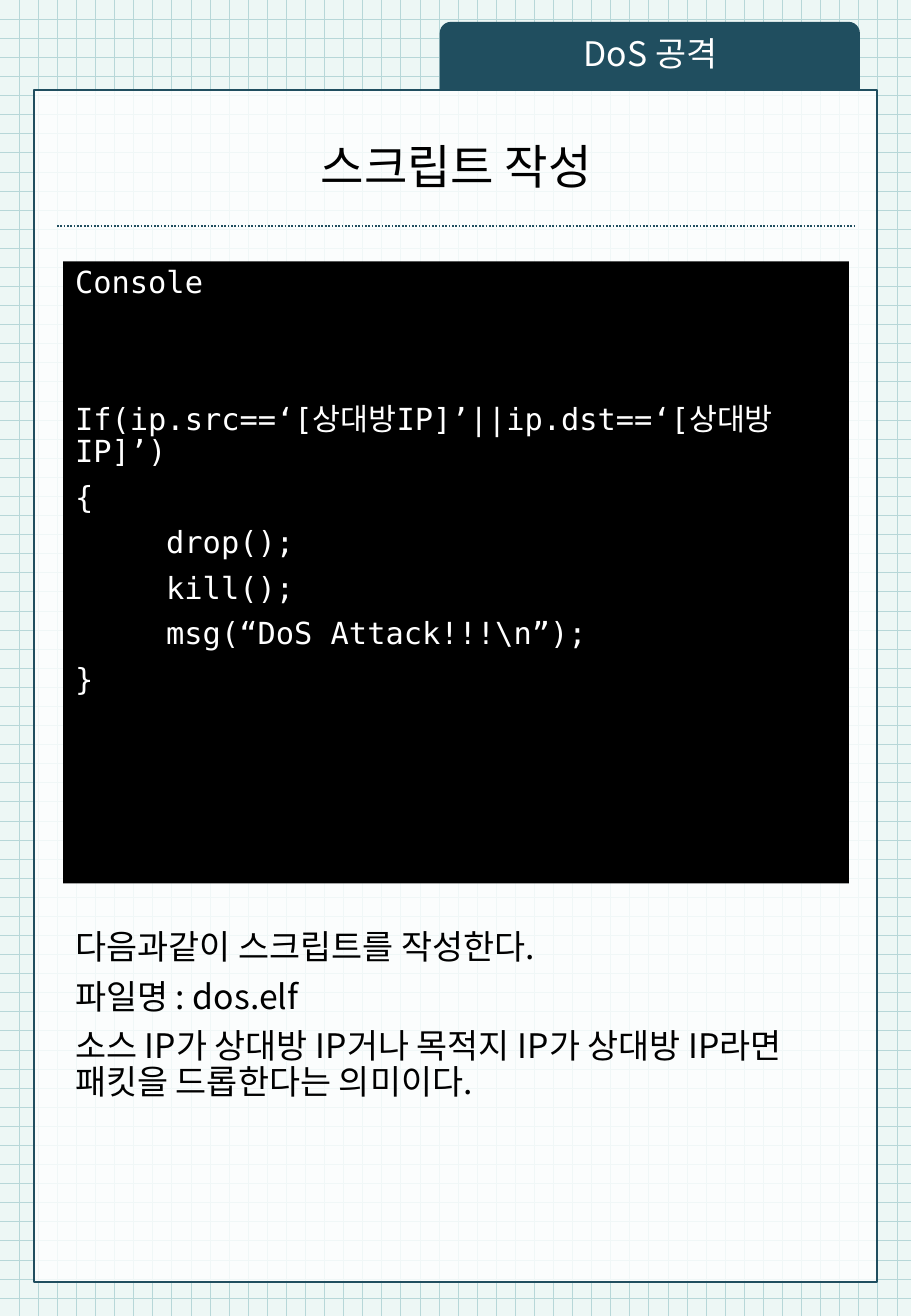
"""Build the DoS script slide with its console listing."""
import pptx
import pptx.util
import pptx.dml.color
import pptx.enum.dml
import pptx.enum.shapes
import pptx.enum.text
import pptx.oxml
import pptx.oxml.ns

Inches, Pt = pptx.util.Inches, pptx.util.Pt
KIND = pptx.enum.shapes.MSO_SHAPE
ALIGN = pptx.enum.text.PP_ALIGN
ANCHOR = pptx.enum.text.MSO_ANCHOR
qn = pptx.oxml.ns.qn
SANS, MONO = "Noto Sans CJK KR", "DejaVu Sans Mono"
TEAL, WHITE, BLACK = "204E5F", "FFFFFF", "000000"
LEFT, WIDE = 0.52, 6.47


def rgb(code):
    return pptx.dml.color.RGBColor.from_string(code)


def write(shape, lines, size=20, font=SANS, color=BLACK, align=ALIGN.LEFT,
          anchor=ANCHOR.TOP, before=7.5):
    frame = shape.text_frame
    frame.word_wrap = True
    frame.auto_size = pptx.enum.text.MSO_AUTO_SIZE.NONE
    frame.vertical_anchor = anchor
    for i, line in enumerate(lines):
        para = frame.paragraphs[0] if i == 0 else frame.add_paragraph()
        para.alignment = align
        para.line_spacing = 0.9
        para.space_before = Pt(before)
        run = para.add_run()
        run.text = line
        run.font.size = Pt(size)
        run.font.name = font
        run.font.color.rgb = rgb(color)
        east = pptx.oxml.parse_xml(
            f'<a:ea {pptx.oxml.ns.nsdecls("a")} typeface="{font}"/>')
        run.font._element.find(qn("a:latin")).addnext(east)
    return frame.paragraphs


deck = pptx.Presentation()
deck.slide_width, deck.slide_height = Inches(7.5), Inches(10.83)
slide = deck.slides.add_slide(deck.slide_layouts[5])
shapes = slide.shapes

back = slide.background.fill
back.patterned()
back.pattern = pptx.enum.dml.MSO_PATTERN.DOTTED_GRID
back.fore_color.rgb = rgb("B7D7D8")
back.back_color.rgb = rgb("EDF7F5")

made = []
for kind, box, fill in (
        (KIND.RECTANGLE, (0.28, 0.74, 6.94, 9.81), WHITE),
        (KIND.ROUND_2_SAME_RECTANGLE, (3.62, 0.18, 3.46, 0.56), TEAL),
        (KIND.RECTANGLE, (LEFT, 2.15, WIDE, 5.12), BLACK)):
    shape = shapes.add_shape(kind, *map(Inches, box))
    shape.shadow.inherit = False
    shape.fill.solid()
    shape.fill.fore_color.rgb = rgb(fill)
    shape.line.fill.background()
    made.append(shape)
page, tab, console = made

page.line.color.rgb = rgb(TEAL)
page.line.width = Pt(1.5)
tint = page._element.spPr.find(qn("a:solidFill"))[0]
tint.append(pptx.oxml.parse_xml(
    f'<a:alpha {pptx.oxml.ns.nsdecls("a")} val="80000"/>'))

title = shapes.title
tab._element.addnext(title._element)
title.left, title.top = Inches(LEFT), Inches(1.01)
title.width, title.height = Inches(WIDE), Inches(0.76)
write(title, ["스크립트 작성"], size=28, align=ALIGN.CENTER,
      anchor=ANCHOR.MIDDLE, before=0)

body = shapes.add_textbox(*map(Inches, (LEFT, 7.61, WIDE, 2.48)))
write(body, ["다음과같이 스크립트를 작성한다.",
             "파일명 : dos.elf",
             "소스 IP가 상대방 IP거나 목적지 IP가 상대방 IP라면 "
             "패킷을 드롭한다는 의미이다."])

label = shapes.add_textbox(*map(Inches, (3.74, 0.24, 3.23, 0.44)))
write(label, ["DoS 공격"], color=WHITE, align=ALIGN.CENTER,
      anchor=ANCHOR.MIDDLE)

code = write(console, ["Console",
                       "If(ip.src==‘[상대방IP]’||ip.dst==‘[상대방IP]’)",
                       "{", "drop();", "kill();",
                       "msg(“DoS Attack!!!\\n”);", "}"],
             size=18, font=MONO, color=WHITE)
code[1].space_before = Pt(61.5)
for para in code[3:6]:
    props = para._p.get_or_add_pPr()
    props.set("marL", str(Inches(0.75)))
    props.set("indent", "0")

rule = shapes.add_connector(pptx.enum.shapes.MSO_CONNECTOR.STRAIGHT,
                            *map(Inches, (0.47, 1.86, 7.03, 1.86)))
rule.line.color.rgb = rgb(TEAL)
rule.line.width = Pt(1)
rule.line.dash_style = pptx.enum.dml.MSO_LINE.ROUND_DOT
rule._element.spPr.append(pptx.oxml.parse_xml(
    f'<a:effectLst {pptx.oxml.ns.nsdecls("a")}/>'))

deck.save("out.pptx")
